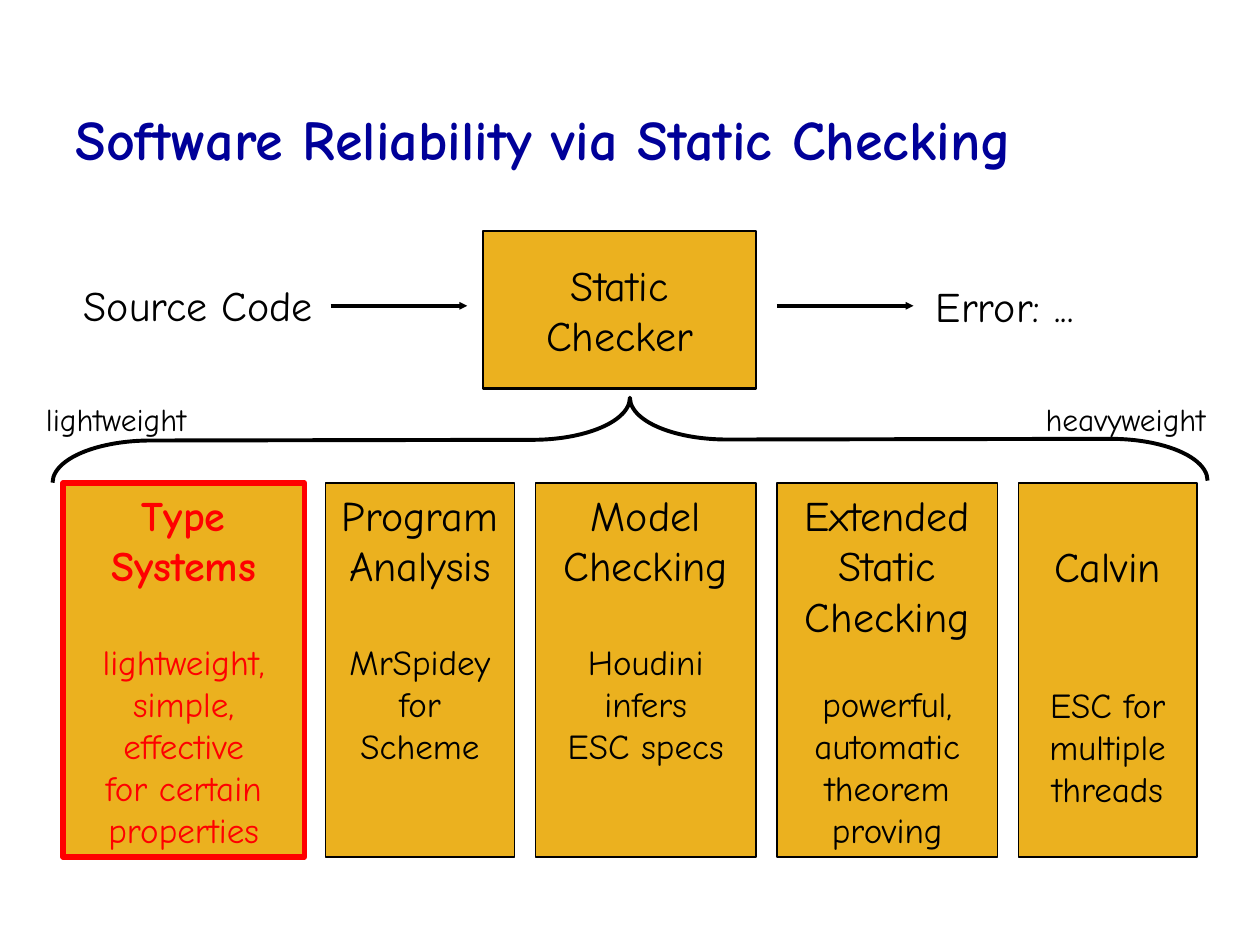
from lxml.etree import SubElement
from pptx import Presentation
from pptx.dml.color import RGBColor
from pptx.enum.shapes import MSO_CONNECTOR, MSO_SHAPE
from pptx.enum.text import MSO_ANCHOR, PP_ALIGN
from pptx.oxml.ns import qn
from pptx.util import Pt

PX = 9525  # 96 px to the inch
FONT = "Comic Neue"
BLACK = RGBColor(0x00, 0x00, 0x00)
RED = RGBColor(0xFF, 0x00, 0x00)
NAVY = RGBColor(0x00, 0x00, 0x99)
GOLD = RGBColor(0xEB, 0xB1, 0x1F)

prs = Presentation()
prs.slide_width, prs.slide_height = 960 * PX, 720 * PX
s = prs.slides.add_slide(prs.slide_layouts[5])


def add_lines(tf, lines, size, color=BLACK, bold=False, gap=0):
    """Write centred lines, the first one set off by gap points."""
    for i, line in enumerate(lines):
        p = tf.paragraphs[0] if not tf.text else tf.add_paragraph()
        p.text = line
        p.alignment = PP_ALIGN.CENTER
        p.space_before = Pt(0 if i else gap)
        p.font.name, p.font.size, p.font.bold = FONT, Pt(size), bold
        p.font.color.rgb = color


def add_box(x, y, w, h, line, weight):
    sp = s.shapes.add_shape(MSO_SHAPE.RECTANGLE, x * PX, y * PX, w * PX, h * PX)
    sp.shadow.inherit = False
    sp.fill.solid()
    sp.fill.fore_color.rgb = GOLD
    sp.line.color.rgb = line
    sp.line.width = Pt(weight)
    return sp


# Title
title = s.shapes.title
title.left, title.top, title.width, title.height = 48 * PX, 16 * PX, 864 * PX, 120 * PX
tf = title.text_frame
tf.vertical_anchor = MSO_ANCHOR.BOTTOM
tf.text = "Software Reliability via Static Checking"
p = tf.paragraphs[0]
p.alignment = PP_ALIGN.LEFT
p.font.name, p.font.size, p.font.bold = FONT, Pt(32), True
p.font.color.rgb = NAVY

# Techniques: width, blank points above, heading, points between, details
techniques = [
    (184, 0, ["Type", "Systems"], 29,
     ["lightweight,", "simple,", "effective", "for certain", "properties"]),
    (144, 0, ["Program", "Analysis"], 29, ["MrSpidey", "for", "Scheme"]),
    (168, 0, ["Model", "Checking"], 29, ["Houdini", "infers", "ESC specs"]),
    (168, 0, ["Extended", "Static", "Checking"], 24,
     ["powerful,", "automatic", "theorem", "proving"]),
    (136, 29, ["Calvin"], 53, ["ESC for", "multiple", "threads"]),
]
x = 48
for i, (w, above, heading, gap, details) in enumerate(techniques):
    chosen = i == 0
    color = RED if chosen else BLACK
    sp = add_box(x, 368, w, 285, color, 3 if chosen else 0.75)
    tf = sp.text_frame
    tf.vertical_anchor = MSO_ANCHOR.TOP
    tf.margin_top = Pt(3.6 + above)
    add_lines(tf, heading, 24, color, bold=chosen)
    add_lines(tf, details, 20, color, gap=gap)
    x += w + 16

# Static checker
checker = add_box(368, 176, 208, 120, BLACK, 1.5)
checker.text_frame.vertical_anchor = MSO_ANCHOR.MIDDLE
add_lines(checker.text_frame, ["Static", "Checker"], 24)

# Labels
for text, x, y, w, h, size in [
    ("Source Code", 54, 208, 194, 48, 24),
    ("Error: ...", 703, 209, 125, 48, 24),
    ("heavyweight", 787, 300, 141, 38, 18),
    ("lightweight", 25, 300, 127, 38, 18),
]:
    tf = s.shapes.add_textbox(x * PX, y * PX, w * PX, h * PX).text_frame
    tf.word_wrap = False
    add_lines(tf, [text], size)

# Arrows into and out of the checker
for x in (252, 592):
    arrow = s.shapes.add_connector(
        MSO_CONNECTOR.STRAIGHT, x * PX, 233 * PX, (x + 104) * PX, 233 * PX)
    arrow.line.color.rgb = BLACK
    arrow.line.width = Pt(2.25)
    SubElement(arrow.line._get_or_add_ln(), qn("a:tailEnd"), type="triangle", w="sm", len="sm")
    SubElement(arrow._element.spPr, qn("a:effectLst"))

# Brace from the checker over all techniques
brace = s.shapes.add_shape(MSO_SHAPE.LEFT_BRACE, 448 * PX, -105 * PX, 64 * PX, 880 * PX)
brace.rotation = 89.9
brace.adjustments[0] = 1.16
brace.shadow.inherit = False
brace.fill.background()
brace.line.color.rgb = BLACK
brace.line.width = Pt(2.25)

prs.save("out.pptx")
